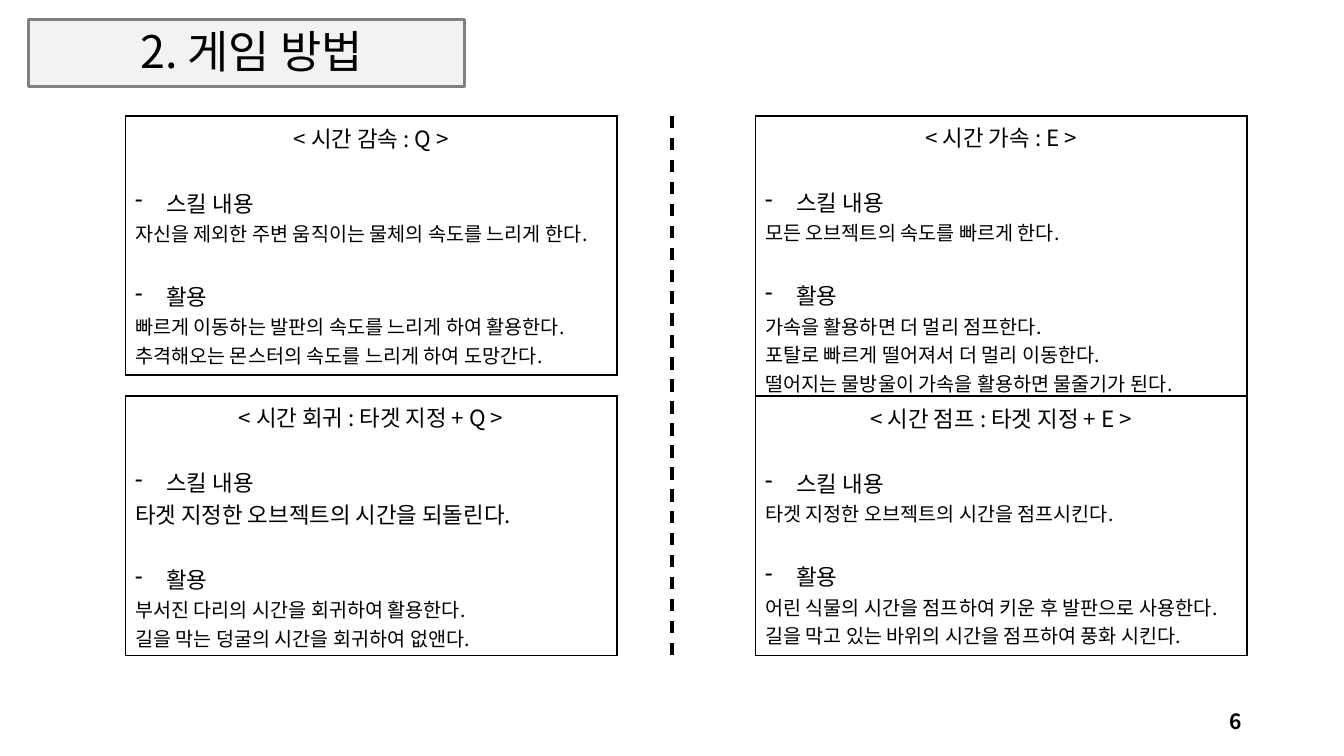
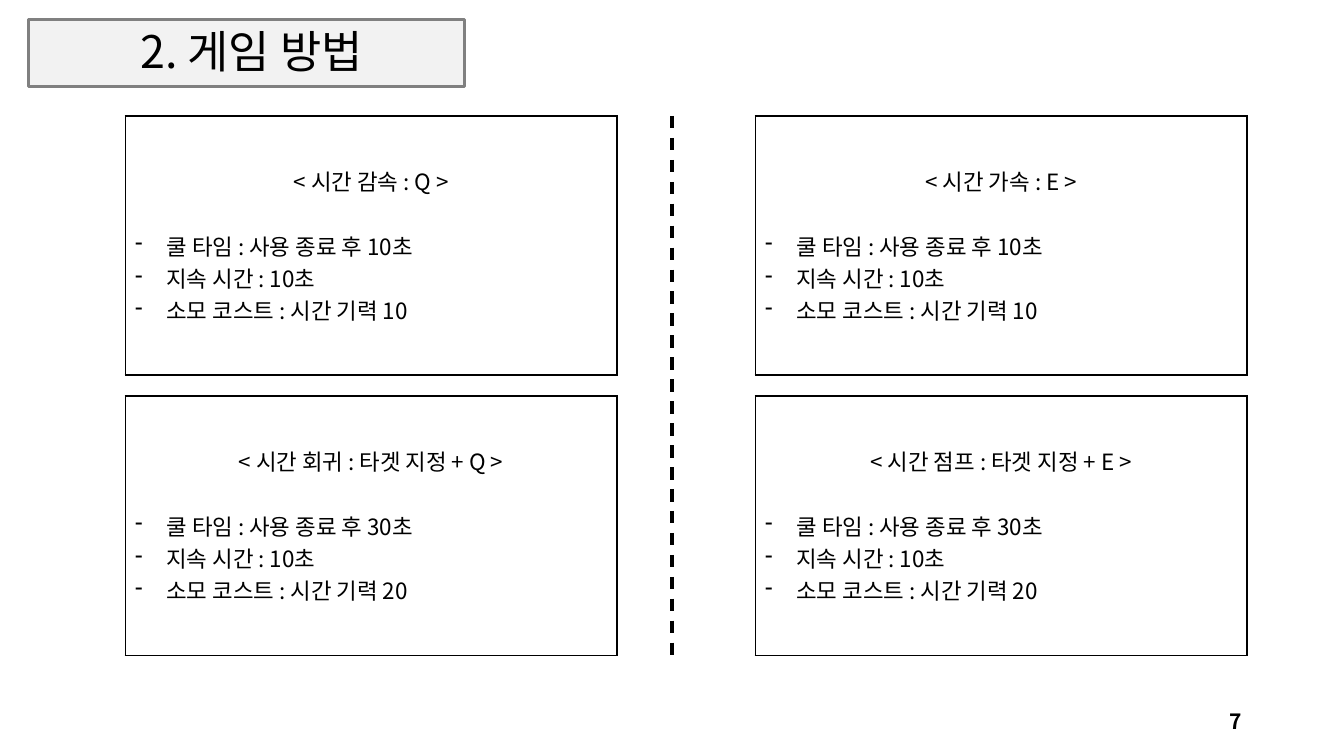
import lxml.etree
import pptx
import pptx.dml.color
import pptx.enum.dml
import pptx.enum.shapes
import pptx.enum.text
import pptx.oxml
import pptx.oxml.ns
import pptx.util

COLORS = {"text": "000000", "paper": "FFFFFF", "band": "F2F2F2", "edge": "808080"}
FONT = "Noto Sans CJK KR"
ALIGN = pptx.enum.text.PP_ALIGN
ANCHOR = pptx.enum.text.MSO_ANCHOR
COLUMNS, ROWS = 32, 18
PANEL_LEFT, PANEL_TOP = 2.98, 2.76
PANEL_WIDTH, PANEL_HEIGHT = 11.71, 6.17
PANEL_STEP_X, PANEL_STEP_Y = 15, 6.67
PANEL_LINES = 5
BODY_SIZE, DETAIL_SIZE = 16, 14
SECTION_GAP = 23.2


def color(name):
    """Return the named colour."""
    return pptx.dml.color.RGBColor.from_string(COLORS[name])


def add_child(parent, tag, **attributes):
    """Append a drawing element and return it."""
    child = lxml.etree.SubElement(parent, pptx.oxml.ns.qn(tag))
    for key, value in attributes.items():
        child.set(key, value)
    return child


class Deck:
    """Hold the style and the current slide."""

    def __init__(self):
        """Start an empty widescreen presentation."""
        self.presentation = pptx.Presentation()
        self.presentation.slide_width = pptx.util.Inches(13.33)
        self.presentation.slide_height = pptx.util.Inches(7.5)
        self.slide = None

    def place(self, left, top, width, height):
        """Convert grid columns and rows to slide lengths."""
        column = self.presentation.slide_width / COLUMNS
        row = self.presentation.slide_height / ROWS
        return int(left * column), int(top * row), int(width * column), int(height * row)

    def style(self, paragraph, size, align=ALIGN.LEFT, bold=False):
        """Format a paragraph and its runs."""
        paragraph.alignment = align
        for run in paragraph.runs:
            run.font.size = pptx.util.Pt(size)
            run.font.bold = bold
            run.font.color.rgb = color("text")
            run.font.name = FONT
            add_child(run._r.get_or_add_rPr(), "a:ea", typeface=FONT)

    def text(self, area, text, size, align, anchor, bold=False):
        """Add a one-paragraph text box and return its paragraph."""
        text_frame = self.slide.shapes.add_textbox(*self.place(*area)).text_frame
        text_frame.word_wrap = True
        text_frame.vertical_anchor = anchor
        text_frame.text = text
        paragraph = text_frame.paragraphs[0]
        self.style(paragraph, size, align, bold)
        return paragraph

    def band(self):
        """Add the framed band behind the title."""
        shape = self.slide.shapes.add_shape(
            pptx.enum.shapes.MSO_SHAPE.RECTANGLE, *self.place(0.67, 0.46, 10.39, 1.61))
        shape.shadow.inherit = False
        shape.fill.solid()
        shape.fill.fore_color.rgb = color("band")
        shape.line.color.rgb = color("edge")
        shape.line.width = pptx.util.Pt(2.25)

    def divider(self):
        """Add the dashed line between the panel columns."""
        left, top, _, height = self.place(COLUMNS / 2, PANEL_TOP, 0, 12.94)
        connector = self.slide.shapes.add_connector(
            pptx.enum.shapes.MSO_CONNECTOR.STRAIGHT, left, top, left, top + height)
        connector.line.color.rgb = color("text")
        connector.line.width = pptx.util.Pt(2.25)
        connector.line.dash_style = pptx.enum.dml.MSO_LINE.DASH
        add_child(connector._element.spPr, "a:effectLst")

    def start_slide(self, title, number):
        """Add a slide with its title, number and divider."""
        self.slide = self.presentation.slides.add_slide(self.presentation.slide_layouts[6])
        self.band()
        paragraph = self.text((1.01, 0.43, 9.96, 1.56), title, 32, ALIGN.CENTER, ANCHOR.BOTTOM)
        paragraph.line_spacing = 0.9
        self.text((22.61, 16.68, 7.2, 0.96), str(number), 15, ALIGN.RIGHT, ANCHOR.MIDDLE, True)
        self.divider()

    def borders(self, cell):
        """Draw a thin line on every side of a cell."""
        properties = cell._tc.get_or_add_tcPr()
        for index, side in enumerate(("a:lnL", "a:lnR", "a:lnT", "a:lnB")):
            line = pptx.oxml.parse_xml(f'<{side} {pptx.oxml.ns.nsdecls("a")} w="12700"/>')
            add_child(add_child(line, "a:solidFill"), "a:srgbClr", val=COLORS["text"])
            properties.insert(index, line)

    def panel(self, column, row, heading, lines):
        """Add a bordered skill panel, reaching the next row when its text is long."""
        height = PANEL_STEP_Y if len(lines) > PANEL_LINES else PANEL_HEIGHT
        area = (PANEL_LEFT + column * PANEL_STEP_X, PANEL_TOP + row * PANEL_STEP_Y,
                PANEL_WIDTH, height)
        table = self.slide.shapes.add_table(1, 1, *self.place(*area)).table
        table.first_row = table.horz_banding = False
        cell = table.cell(0, 0)
        cell.fill.solid()
        cell.fill.fore_color.rgb = color("paper")
        cell.vertical_anchor = ANCHOR.MIDDLE
        self.borders(cell)
        cell.text_frame.text = heading
        self.style(cell.text_frame.paragraphs[0], BODY_SIZE, ALIGN.CENTER)
        for text, size, bulleted, gap in lines:
            paragraph = cell.text_frame.add_paragraph()
            paragraph.text = text
            if bulleted:
                properties = paragraph._p.get_or_add_pPr()
                indent = pptx.util.Inches(0.31)
                properties.set("marL", str(indent))
                properties.set("indent", str(-indent))
                add_child(properties, "a:buChar", char="-")
            if gap:
                paragraph.space_before = pptx.util.Pt(gap)
            self.style(paragraph, size)


def skill_lines(summary, uses, summary_size=DETAIL_SIZE):
    """Describe a skill and its uses as panel lines."""
    return [("스킬 내용", BODY_SIZE, True, SECTION_GAP),
            (summary, summary_size, False, 0),
            ("활용", BODY_SIZE, True, SECTION_GAP),
            *((use, DETAIL_SIZE, False, 0) for use in uses)]


def cost_lines(cooldown, cost):
    """Describe a skill's timing and cost as panel lines."""
    texts = (f"쿨 타임 : 사용 종료 후 {cooldown}초", "지속 시간 : 10초",
             f"소모 코스트 : 시간 기력 {cost}")
    return [(text, BODY_SIZE, True, 0 if index else SECTION_GAP)
            for index, text in enumerate(texts)]


HEADINGS = ("< 시간 감속 : Q >", "< 시간 가속 : E >",
            "< 시간 회귀 : 타겟 지정 + Q >", "< 시간 점프 : 타겟 지정 + E >")
SKILLS = (
    skill_lines("자신을 제외한 주변 움직이는 물체의 속도를 느리게 한다.",
                ("빠르게 이동하는 발판의 속도를 느리게 하여 활용한다.",
                 "추격해오는 몬스터의 속도를 느리게 하여 도망간다.")),
    skill_lines("모든 오브젝트의 속도를 빠르게 한다.",
                ("가속을 활용하면 더 멀리 점프한다.",
                 "포탈로 빠르게 떨어져서 더 멀리 이동한다.",
                 "떨어지는 물방울이 가속을 활용하면 물줄기가 된다.")),
    skill_lines("타겟 지정한 오브젝트의 시간을 되돌린다.",
                ("부서진 다리의 시간을 회귀하여 활용한다.",
                 "길을 막는 덩굴의 시간을 회귀하여 없앤다."), BODY_SIZE),
    skill_lines("타겟 지정한 오브젝트의 시간을 점프시킨다.",
                ("어린 식물의 시간을 점프하여 키운 후 발판으로 사용한다.",
                 "길을 막고 있는 바위의 시간을 점프하여 풍화 시킨다.")),
)
COSTS = (cost_lines(10, 10),) * 2 + (cost_lines(30, 20),) * 2


def main():
    """Build and save the presentation."""
    deck = Deck()
    for number, panels in ((6, SKILLS), (7, COSTS)):
        deck.start_slide("2. 게임 방법", number)
        for index, (heading, lines) in enumerate(zip(HEADINGS, panels)):
            row, column = divmod(index, 2)
            deck.panel(column, row, heading, lines)
    deck.presentation.save("out.pptx")


if __name__ == "__main__":
    main()
